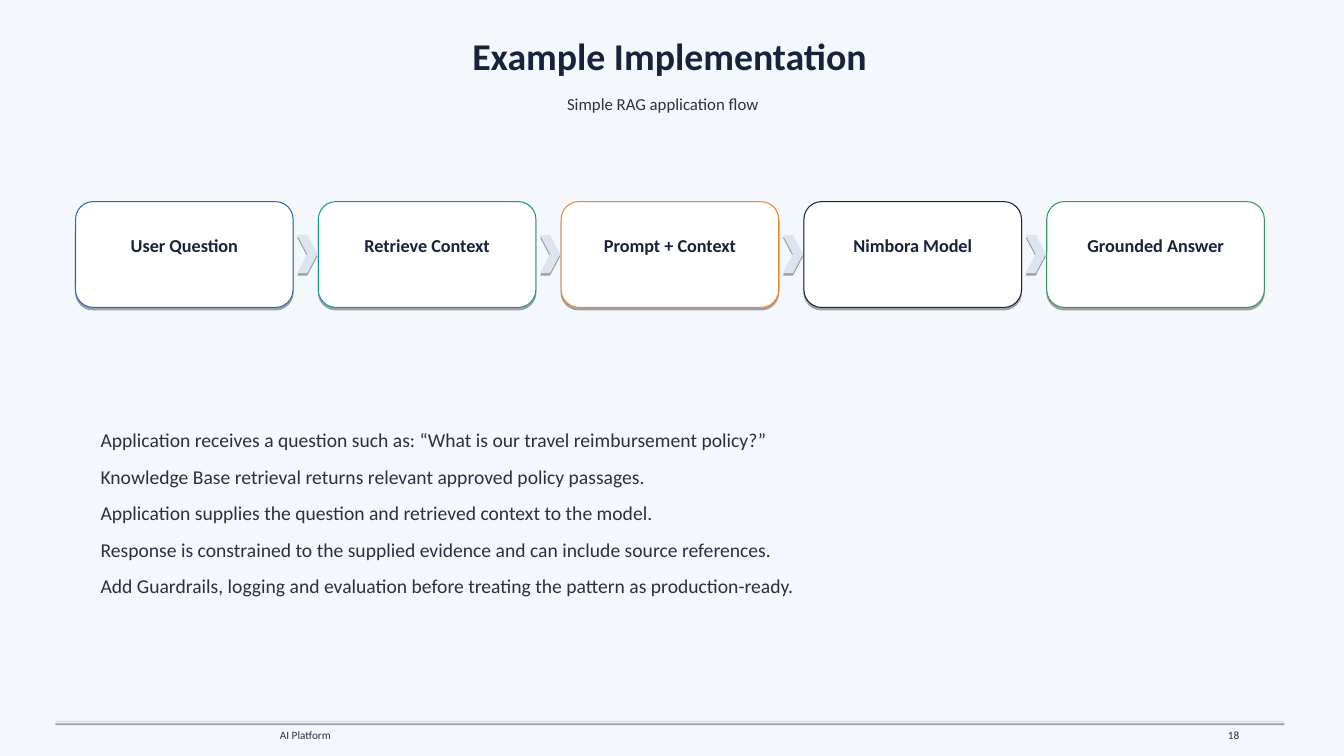
from lxml.etree import SubElement
from pptx import Presentation
from pptx.dml.color import RGBColor
from pptx.enum.shapes import MSO_SHAPE
from pptx.enum.text import MSO_ANCHOR, PP_ALIGN
from pptx.oxml.ns import qn
from pptx.util import Inches, Pt

THEME = {
    "font": "Calibri",
    "ground": "F4F7FB", "card": "FFFFFF", "rule": "DCE4EF",
    "ink": "16233A", "body": "2A313D", "shadow": "000000",
    "title_size": 27, "subtitle_size": 12, "step_size": 13,
    "body_size": 14, "footer_size": 8,
}

presentation = Presentation()
presentation.slide_width = Inches(13.34)
presentation.slide_height = Inches(7.5)
slide = presentation.slides.add_slide(presentation.slide_layouts[6])
slide.background.fill.solid()
slide.background.fill.fore_color.rgb = RGBColor.from_string(THEME["ground"])


def add_panel(kind, left, top, width, height, fill, outline=None):
    panel = slide.shapes.add_shape(
        kind, Inches(left), Inches(top), Inches(width), Inches(height))
    panel.fill.solid()
    panel.fill.fore_color.rgb = RGBColor.from_string(fill)
    if outline:
        panel.line.color.rgb = RGBColor.from_string(outline)
        panel.line.width = Pt(0.75)
    else:
        panel.line.fill.background()
    panel.shadow.inherit = False
    effects = panel._element.spPr.find(qn("a:effectLst"))
    shadow = SubElement(effects, qn("a:outerShdw"), blurRad="0",
                        dist=str(Pt(1.8)), dir="5400000", rotWithShape="0")
    tint = SubElement(shadow, qn("a:srgbClr"), val=THEME["shadow"])
    SubElement(tint, qn("a:alpha"), val="35000")
    return panel


def add_text(lines, left, top, width, height, size, color, bold=False,
             align=PP_ALIGN.LEFT, wrap=False, gap=0):
    frame = slide.shapes.add_textbox(
        Inches(left), Inches(top), Inches(width), Inches(height)).text_frame
    frame.word_wrap = wrap
    frame.vertical_anchor = MSO_ANCHOR.TOP
    for index, line in enumerate(lines):
        paragraph = frame.add_paragraph() if index else frame.paragraphs[0]
        paragraph.alignment = align
        paragraph.space_after = Pt(gap)
        run = paragraph.add_run()
        run.text = line
        run.font.name = THEME["font"]
        run.font.size = Pt(size)
        run.font.bold = bold
        run.font.color.rgb = RGBColor.from_string(color)


add_text(["Example Implementation"], 4.59, 0.28, 4.13, 0.55,
         THEME["title_size"], THEME["ink"], bold=True)
add_text(["Simple RAG application flow"], 5.53, 0.88, 2.1, 0.3,
         THEME["subtitle_size"], THEME["body"])

add_panel(MSO_SHAPE.RECTANGLE, 0.55, 7.15, 12.2, 0.02, THEME["rule"])
add_text(["AI Platform"], 2.68, 7.18, 0.81, 0.23,
         THEME["footer_size"], THEME["body"])
add_text(["18"], 12.09, 7.18, 0.31, 0.23,
         THEME["footer_size"], THEME["body"], align=PP_ALIGN.RIGHT)

steps = [
    ("User Question", "2666BE"),
    ("Retrieve Context", "189691"),
    ("Prompt + Context", "F08430"),
    ("Nimbora Model", THEME["ink"]),
    ("Grounded Answer", "37965C"),
]
flow_left, flow_top, step_pitch = 0.75, 2, 2.41
step_width, step_height = 2.16, 1.05
label_width = 1.56

for position, (step, accent) in enumerate(steps):
    step_left = flow_left + position * step_pitch
    add_panel(MSO_SHAPE.ROUNDED_RECTANGLE, step_left, flow_top,
              step_width, step_height, THEME["card"], accent)
    add_text([step], step_left + (step_width - label_width) / 2,
             flow_top + 0.28, label_width, 0.32, THEME["step_size"],
             THEME["ink"], bold=True, align=PP_ALIGN.CENTER)
    if position < len(steps) - 1:
        add_panel(MSO_SHAPE.CHEVRON, step_left + step_width + 0.04,
                  flow_top + 0.33, 0.2, 0.38, THEME["rule"])

add_text([
    "Application receives a question such as: “What is our travel reimbursement policy?”",
    "Knowledge Base retrieval returns relevant approved policy passages.",
    "Application supplies the question and retrieved context to the model.",
    "Response is constrained to the supplied evidence and can include source references.",
    "Add Guardrails, logging and evaluation before treating the pattern as production-ready.",
], 0.9, 4.2, 11.5, 1.78, THEME["body_size"], THEME["body"], wrap=True, gap=9.2)

presentation.save("out.pptx")
